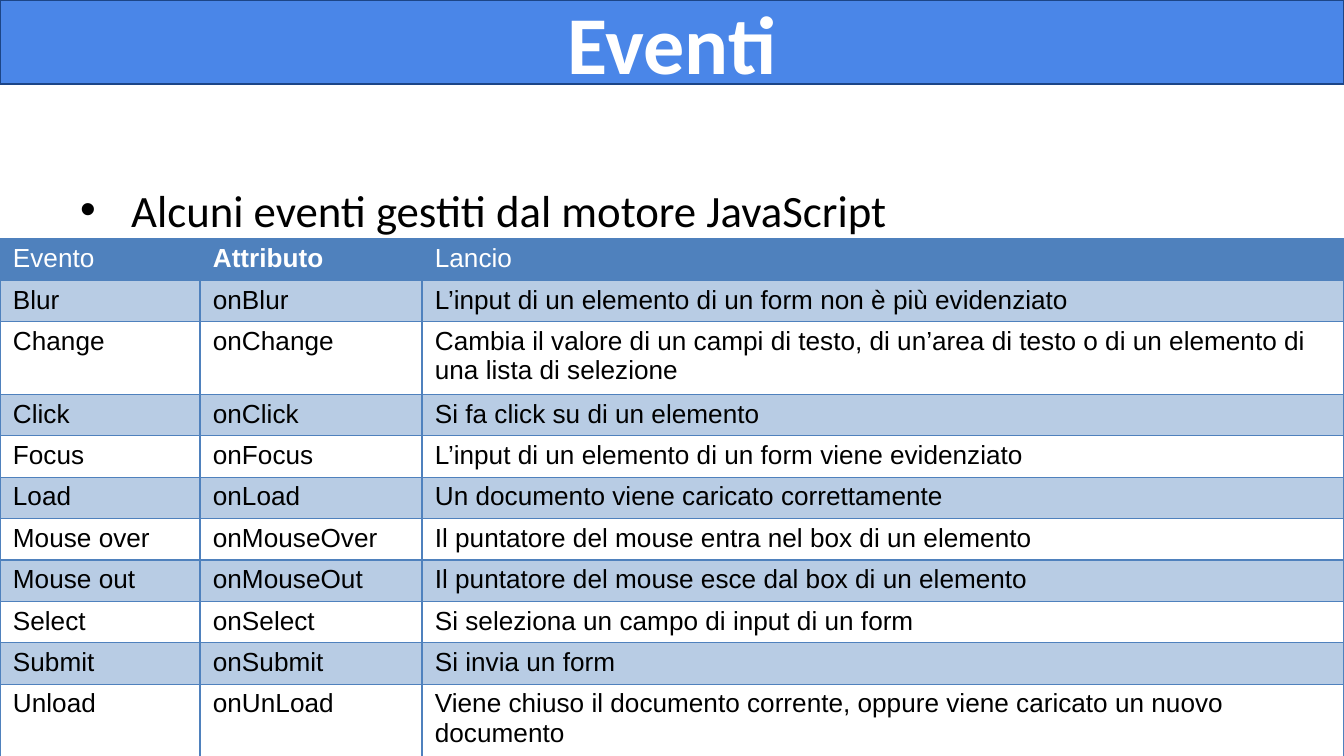
from dataclasses import dataclass

from lxml import etree
from pptx import Presentation, util as u
from pptx.dml.color import RGBColor
from pptx.enum import shapes, text
from pptx.oxml import ns

WIDE, HIGH = 1344, 756
SCALE = 9144000 / WIDE
BLUE, WHITE, BLACK = "4F81BD", "FFFFFF", "000000"


@dataclass
class Event:
    name: str
    attr: str
    cause: str


EVENTS = [
    Event("Blur", "onBlur", "L’input di un elemento di un form non è più evidenziato"),
    Event("Change", "onChange", "Cambia il valore di un campi di testo, di un’area di testo "
          "o di un elemento di una lista di selezione"),
    Event("Click", "onClick", "Si fa click su di un elemento"),
    Event("Focus", "onFocus", "L’input di un elemento di un form viene evidenziato"),
    Event("Load", "onLoad", "Un documento viene caricato correttamente"),
    Event("Mouse over", "onMouseOver", "Il puntatore del mouse entra nel box di un elemento"),
    Event("Mouse out", "onMouseOut", "Il puntatore del mouse esce dal box di un elemento"),
    Event("Select", "onSelect", "Si seleziona un campo di input di un form"),
    Event("Submit", "onSubmit", "Si invia un form"),
    Event("Unload", "onUnLoad", "Viene chiuso il documento corrente, oppure viene caricato "
          "un nuovo documento"),
]


def px(size: int) -> int:
    return round(size * SCALE)


def hue(code: str) -> RGBColor:
    return RGBColor.from_string(code)


def paint(fill, code: str) -> None:
    fill.solid()
    fill.fore_color.rgb = hue(code)


def style(frame, face: str, size: int, code: str, bold: bool = False) -> None:
    for run in frame.paragraphs[0].runs:
        run.font.name, run.font.size, run.font.bold = face, u.Pt(size), bold
        run.font.color.rgb = hue(code)


def edge(cell) -> None:
    props = cell._tc.get_or_add_tcPr()
    for spot, side in enumerate(("lnL", "lnR", "lnT", "lnB")):
        line = etree.Element(ns.qn("a:" + side), w=str(u.Pt(0.75)))
        fill = etree.SubElement(line, ns.qn("a:solidFill"))
        etree.SubElement(fill, ns.qn("a:srgbClr"), val=BLUE)
        props.insert(spot, line)


def shade(cell, row: int) -> None:
    if row and row % 2 == 0:
        cell.fill.background()
        return
    paint(cell.fill, BLUE)
    if row:
        color = cell._tc.tcPr.find(".//" + ns.qn("a:srgbClr"))
        etree.SubElement(color, ns.qn("a:alpha"), val="40000")


def write(cell, label: str, row: int, col: int) -> None:
    cell.text_frame.text = label
    cell.margin_left = cell.margin_right = px(13)
    cell.margin_top = cell.margin_bottom = px(5)
    style(cell.text_frame, "Arial", 14, BLACK if row else WHITE, row == 0 and col == 1)
    shade(cell, row)
    edge(cell)


def intro(slide) -> None:
    box = slide.shapes.add_textbox(px(67), px(176), px(1210), px(60))
    frame = box.text_frame
    frame.word_wrap = True
    frame.text = "Alcuni eventi gestiti dal motore JavaScript"
    style(frame, "Calibri", 24, BLACK)
    props = frame.paragraphs[0]._p.get_or_add_pPr()
    props.set("marL", str(px(51)))
    props.set("indent", str(-px(51)))
    etree.SubElement(props, ns.qn("a:buFont"), typeface="Arial")
    etree.SubElement(props, ns.qn("a:buChar"), char="•")


def grid(slide) -> None:
    rows = [Event("Evento", "Attributo", "Lancio"), *EVENTS]
    cols = (200, 222, 922)
    tall = 41
    table = slide.shapes.add_table(len(rows), len(cols), 0, px(239),
                                   px(WIDE), px(tall * len(rows))).table
    for col, width in zip(table.columns, cols):
        col.width = px(width)
    for row, event in enumerate(rows):
        table.rows[row].height = px(tall)
        for col, label in enumerate((event.name, event.attr, event.cause)):
            write(table.cell(row, col), label, row, col)


def title(slide) -> None:
    bar = slide.shapes.add_shape(shapes.MSO_SHAPE.RECTANGLE, 0, 0, px(WIDE), px(84))
    bar.shadow.inherit = False
    paint(bar.fill, "4A86E8")
    bar.line.color.rgb = hue("1C4587")
    bar.line.width = u.Pt(0.75)
    frame = bar.text_frame
    frame.text = "Eventi"
    frame.word_wrap = True
    frame.vertical_anchor = text.MSO_ANCHOR.MIDDLE
    frame.margin_left = frame.margin_right = px(13)
    frame.margin_top = frame.margin_bottom = px(13)
    frame.paragraphs[0].alignment = text.PP_ALIGN.CENTER
    style(frame, "Calibri", 44, WHITE, True)


deck = Presentation()
deck.slide_width, deck.slide_height = px(WIDE), px(HIGH)
page = deck.slides.add_slide(deck.slide_layouts[6])
intro(page)
grid(page)
title(page)
deck.save("out.pptx")
